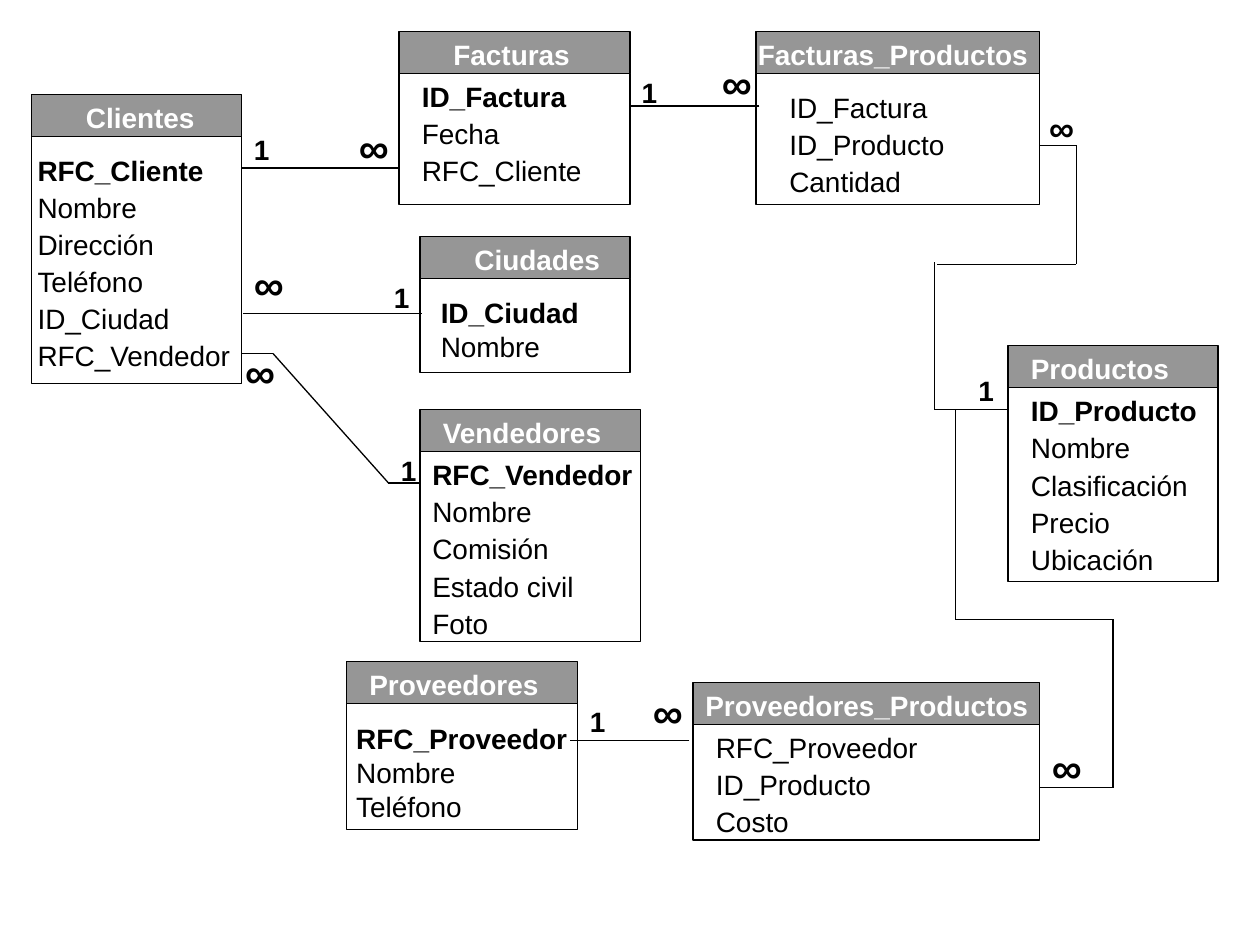
from dataclasses import dataclass
from itertools import pairwise

from lxml import etree
from pptx import Presentation
from pptx.dml.color import RGBColor
from pptx.enum.shapes import MSO_CONNECTOR, MSO_SHAPE
from pptx.enum.text import MSO_AUTO_SIZE
from pptx.oxml.ns import qn
from pptx.util import Pt

RECTANGLE = MSO_SHAPE.RECTANGLE
STRAIGHT = MSO_CONNECTOR.STRAIGHT
GROW = MSO_AUTO_SIZE.SHAPE_TO_FIT_TEXT
BLANK_LAYOUT = 6


@dataclass(frozen=True)
class Theme:
    font: str = "Arial"
    ink: RGBColor = RGBColor(0x00, 0x00, 0x00)
    header: RGBColor = RGBColor(0x96, 0x96, 0x96)
    header_text: RGBColor = RGBColor(0xFF, 0xFF, 0xFF)
    text_size: float = 16
    many_size: float = 24
    small_many_size: float = 20
    rule: float = 0.75
    header_height: float = 24
    inset_x: float = 7.2
    inset_y: float = 3.6
    line_height: float = 1.2


@dataclass(frozen=True)
class Entity:
    """A database table; the key, if any, is its first field, in bold."""
    name: str
    left: float
    top: float
    width: float
    body_height: float
    name_left: float
    name_width: float
    fields_left: float
    fields_top: float
    fields_width: float
    fields: tuple[str, ...]
    has_key: bool = True
    field_gap: float = 2


@dataclass(frozen=True)
class Cardinality:
    symbol: str
    left: float
    top: float
    width: float
    size: float


THEME = Theme()

ENTITIES = [
    Entity("Clientes", 18, 54, 120, 141, 42, 90, 14.4, 84, 136,
           ("RFC_Cliente", "Nombre", "Dirección", "Teléfono", "ID_Ciudad", "RFC_Vendedor")),
    Entity("Facturas", 228, 18, 132, 75, 252, 90, 234, 42, 138,
           ("ID_Factura", "Fecha", "RFC_Cliente")),
    Entity("Facturas_Productos", 432, 18, 162, 75, 426, 174, 444, 48, 138,
           ("ID_Factura", "ID_Producto", "Cantidad"), has_key=False),
    Entity("Ciudades", 240, 135, 120, 54, 264, 90, 244.8, 165.5, 139,
           ("ID_Ciudad", "Nombre"), field_gap=0),
    Entity("Vendedores", 240, 234, 126, 108.5, 246, 126, 240, 258, 138,
           ("RFC_Vendedor", "Nombre", "Comisión", "Estado civil", "Foto")),
    Entity("Productos", 576, 197.5, 120, 111, 582, 114, 582, 221.5, 120,
           ("ID_Producto", "Nombre", "Clasificación", "Precio", "Ubicación")),
    Entity("Proveedores_Productos", 396, 390, 198, 66, 396, 204, 402, 414, 138,
           ("RFC_Proveedor", "ID_Producto", "Costo"), has_key=False),
    Entity("Proveedores", 198, 378, 132, 72, 204, 114, 196.5, 409, 139,
           ("RFC_Proveedor", "Nombre", "Teléfono"), field_gap=0),
]

# Each relationship is a route of corner points
RELATIONSHIPS = [
    [(138, 96), (228, 96)],                                          # Clientes - Facturas
    [(434, 60.5), (360, 60.5)],                                      # Facturas - Facturas_Productos
    [(139, 179.3), (241, 179.3)],                                    # Clientes - Ciudades
    [(138, 202), (156, 202), (222, 276), (240, 276)],                # Clientes - Vendedores
    [(594, 83), (615, 83), (615, 151), (535.5, 151)],                # Facturas_Productos side
    [(534, 150), (534, 234), (576, 234)],                            # Productos side
    [(546, 234), (546, 354), (636, 354), (636, 450), (594, 450)],    # Productos - Proveedores_Productos
    [(394, 423), (326, 423)],                                        # Proveedores - Proveedores_Productos
]

ONE_POSITIONS = [(138, 72), (359.5, 39.5), (222, 255.5), (218, 157), (552, 210), (330, 399)]
MANY_POSITIONS = [(198, 66), (405.5, 29.5), (133, 194.5), (138, 144), (594, 420), (366, 389)]

CARDINALITIES = [
    *(Cardinality("1", left, top, 18, THEME.text_size) for left, top in ONE_POSITIONS),
    *(Cardinality("∞", left, top, 36, THEME.many_size) for left, top in MANY_POSITIONS),
    Cardinality("∞", 592.5, 57.5, 36, THEME.small_many_size),
]


def add_rectangle(slide, left: float, top: float, width: float, height: float,
                  fill: RGBColor | None = None) -> None:
    box = slide.shapes.add_shape(RECTANGLE, Pt(left), Pt(top), Pt(width), Pt(height))
    box.shadow.inherit = False
    if fill is None:
        box.fill.background()
    else:
        box.fill.solid()
        box.fill.fore_color.rgb = fill
    box.line.color.rgb = THEME.ink
    box.line.width = Pt(THEME.rule)


def add_text(slide, left: float, top: float, width: float, lines: tuple[str, ...],
             bold_lines: int = 1, color: RGBColor = THEME.ink,
             size: float = THEME.text_size, gap: float = 0) -> None:
    """Write one paragraph per line, with the first bold_lines in bold."""
    count = len(lines)
    height = 2 * THEME.inset_y + count * size * THEME.line_height + (count - 1) * gap
    box = slide.shapes.add_textbox(Pt(left), Pt(top), Pt(width), Pt(height))
    frame = box.text_frame
    frame.word_wrap = True
    frame.auto_size = GROW
    frame.margin_left = frame.margin_right = Pt(THEME.inset_x)
    frame.margin_top = frame.margin_bottom = Pt(THEME.inset_y)
    for index, line in enumerate(lines):
        paragraph = frame.add_paragraph() if index else frame.paragraphs[0]
        if index:
            paragraph.space_before = Pt(gap)
        run = paragraph.add_run()
        run.text = line
        run.font.name = THEME.font
        run.font.size = Pt(size)
        run.font.bold = index < bold_lines
        run.font.color.rgb = color


def add_entity(slide, entity: Entity) -> None:
    add_rectangle(slide, entity.left, entity.top + THEME.header_height,
                  entity.width, entity.body_height)
    add_rectangle(slide, entity.left, entity.top, entity.width,
                  THEME.header_height, THEME.header)
    add_text(slide, entity.name_left, entity.top, entity.name_width,
             (entity.name,), color=THEME.header_text)
    add_text(slide, entity.fields_left, entity.fields_top, entity.fields_width,
             entity.fields, bold_lines=int(entity.has_key), gap=entity.field_gap)


def add_relationship(slide, route: list[tuple[float, float]]) -> None:
    for (x1, y1), (x2, y2) in pairwise(route):
        segment = slide.shapes.add_connector(STRAIGHT, Pt(x1), Pt(y1), Pt(x2), Pt(y2))
        segment.line.color.rgb = THEME.ink
        segment.line.width = Pt(THEME.rule)
        etree.SubElement(segment._element.spPr, qn("a:effectLst"))


def main() -> None:
    presentation = Presentation()
    presentation.slide_width, presentation.slide_height = Pt(720), Pt(540)
    slide = presentation.slides.add_slide(presentation.slide_layouts[BLANK_LAYOUT])

    # Tables, then the lines between them, then the 1 and ∞ marks
    for entity in ENTITIES:
        add_entity(slide, entity)
    for route in RELATIONSHIPS:
        add_relationship(slide, route)
    for mark in CARDINALITIES:
        add_text(slide, mark.left, mark.top, mark.width, (mark.symbol,), size=mark.size)

    presentation.save("out.pptx")


if __name__ == "__main__":
    main()
